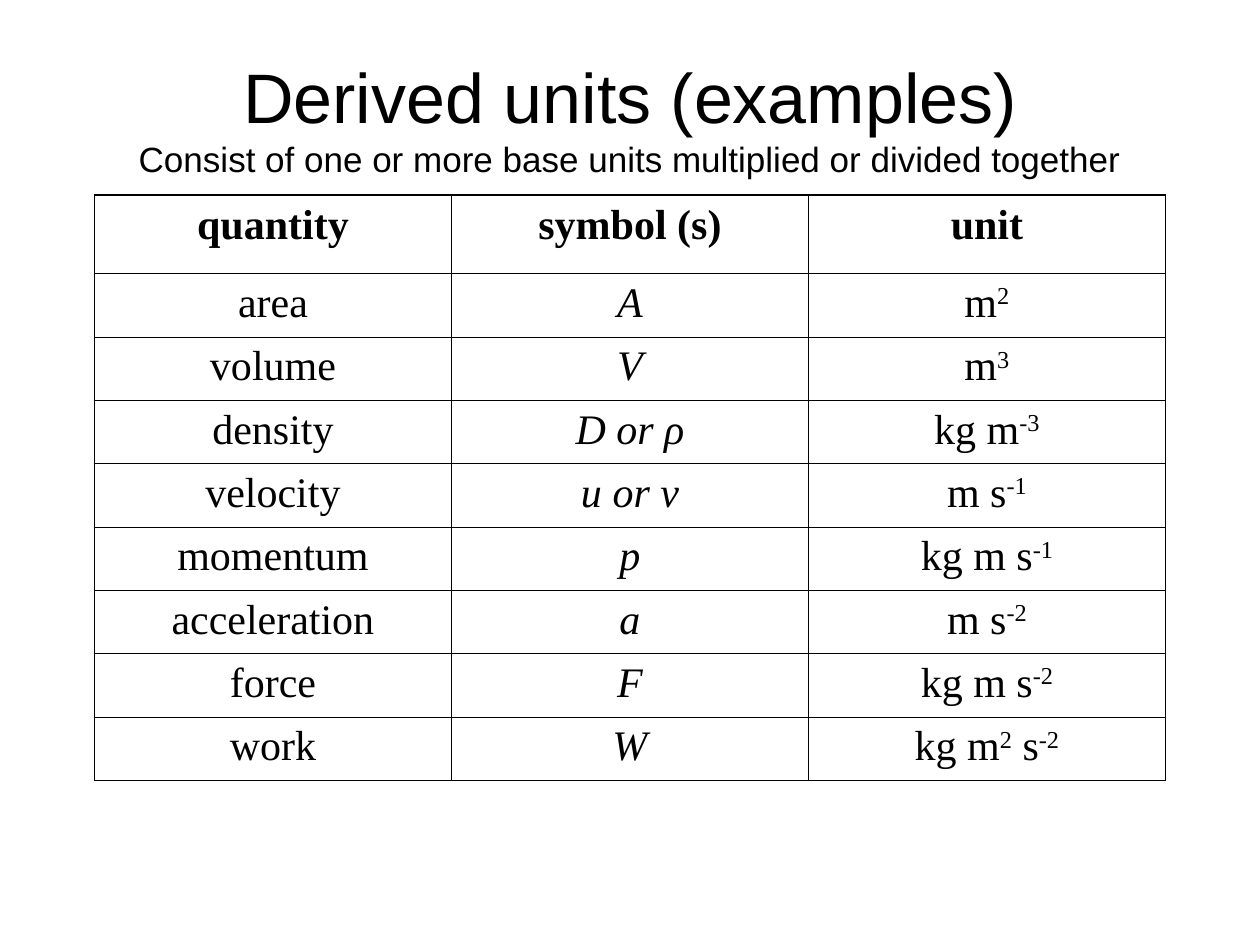
from dataclasses import dataclass

from lxml import etree
from pptx import Presentation
from pptx.dml.color import RGBColor
from pptx.enum.text import MSO_ANCHOR, PP_ALIGN
from pptx.oxml.ns import qn
from pptx.util import Pt

CENTER = PP_ALIGN.CENTER
MIDDLE = MSO_ANCHOR.MIDDLE
BLANK = 6


@dataclass(frozen=True)
class Theme:
    ink: str = "000000"
    paper: str = "FFFFFF"
    title_font: str = "Arial"
    table_font: str = "Times New Roman"
    title_size: int = 40
    subtitle_size: int = 20
    table_size: int = 24
    outer_line: float = 1.08
    inner_line: float = 0.45


THEME = Theme()

ROWS = [
    ("quantity", "symbol (s)", "unit"),
    ("area", "A", "m^2^"),
    ("volume", "V", "m^3^"),
    ("density", "D or ρ", "kg m^-3^"),
    ("velocity", "u or v", "m s^-1^"),
    ("momentum", "p", "kg m s^-1^"),
    ("acceleration", "a", "m s^-2^"),
    ("force", "F", "kg m s^-2^"),
    ("work", "W", "kg m^2^ s^-2^"),
]


def add_text(p, text, *, font, size, bold=False, italic=False):
    p.alignment = CENTER
    for i, part in enumerate(text.split("^")):
        if not part:
            continue
        r = p.add_run()
        r.text = part
        r.font.name = font
        r.font.size = Pt(size)
        r.font.bold = bold
        r.font.italic = italic
        r.font.color.rgb = RGBColor.from_string(THEME.ink)
        if i % 2:
            r.font._element.set("baseline", "30000")


def add_title(s, title, subtitle):
    sp = s.shapes.add_textbox(Pt(36), Pt(21.6), Pt(648), Pt(90))
    tf = sp.text_frame
    tf.word_wrap = True
    tf.vertical_anchor = MIDDLE
    p = tf.paragraphs[0]
    add_text(p, title, font=THEME.title_font, size=THEME.title_size)
    p.add_line_break()
    add_text(p, subtitle, font=THEME.title_font, size=THEME.subtitle_size)


def set_borders(cell, **widths):
    tc_pr = cell._tc.get_or_add_tcPr()
    for i, (side, width) in enumerate(widths.items()):
        ln = etree.Element(qn(f"a:ln{side}"), w=str(Pt(width)))
        fill = etree.SubElement(ln, qn("a:solidFill"))
        etree.SubElement(fill, qn("a:srgbClr"), val=THEME.ink)
        tc_pr.insert(i, ln)


def add_units_table(s, rows):
    last_row, last_col = len(rows) - 1, len(rows[0]) - 1
    frame = s.shapes.add_table(len(rows), len(rows[0]),
                               Pt(54), Pt(111.6), Pt(612), Pt(334.4))
    table = frame.table
    for col in table.columns:
        col.width = Pt(204)
    for i, row in enumerate(table.rows):
        row.height = Pt(36.2 if i else 44.8)

    def weight(on_edge):
        return THEME.outer_line if on_edge else THEME.inner_line

    for i, values in enumerate(rows):
        for j, text in enumerate(values):
            cell = table.cell(i, j)
            cell.fill.solid()
            cell.fill.fore_color.rgb = RGBColor.from_string(THEME.paper)
            set_borders(cell, L=weight(j == 0), R=weight(j == last_col),
                        T=weight(i == 0), B=weight(i == last_row))
            p = cell.text_frame.paragraphs[0]
            p.space_before = Pt(6)
            add_text(p, text, font=THEME.table_font, size=THEME.table_size,
                     bold=i == 0, italic=i > 0 and j == 1)


def main():
    prs = Presentation()
    prs.slide_width, prs.slide_height = Pt(720), Pt(540)
    s = prs.slides.add_slide(prs.slide_layouts[BLANK])
    add_title(s, "Derived units (examples)",
              "Consist of one or more base units multiplied or divided together")
    add_units_table(s, ROWS)
    prs.save("out.pptx")


if __name__ == "__main__":
    main()
